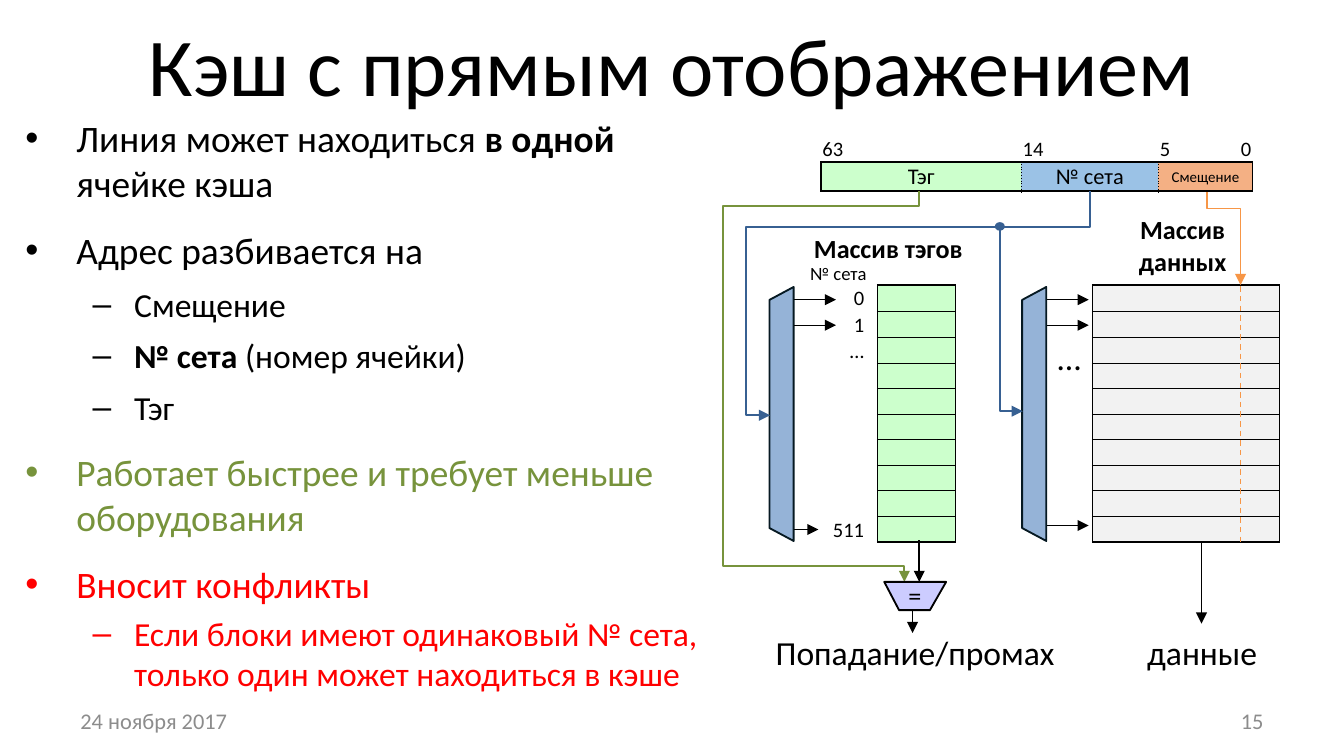
from dataclasses import dataclass

from lxml import etree
from pptx import Presentation
from pptx import util as u
from pptx.dml.color import RGBColor
from pptx.enum import dml, shapes, text
from pptx.oxml.ns import qn

PX = 9144
LEFT, CENTER, RIGHT = text.PP_ALIGN.LEFT, text.PP_ALIGN.CENTER, text.PP_ALIGN.RIGHT


@dataclass(frozen=True)
class Theme:
    font: str = "Calibri"
    black: str = "000000"
    white: str = "FFFFFF"
    gray: str = "8C8C8C"
    good: str = "77933C"
    bad: str = "FF0000"
    tag: str = "CCFFCC"
    index: str = "9BC2E6"
    offset: str = "F4B084"
    data: str = "F2F2F2"
    decoder: str = "95B3D7"
    decoder_edge: str = "061922"
    comparator: str = "CCCCFF"
    index_wire: str = "376092"
    offset_wire: str = "F79646"
    title: int = 44
    body: int = 20
    large: int = 18
    heading: int = 14
    normal: int = 12
    small: int = 11
    caption: int = 10
    tiny: int = 8
    thin: float = 0.75
    thick: float = 1


THEME = Theme()


@dataclass(frozen=True)
class Bullet:
    runs: tuple[tuple[str, bool], ...]
    level: int = 0
    color: str = THEME.black
    before: float = 12


@dataclass(frozen=True)
class Label:
    words: str
    box: tuple[int, int, int, int]
    size: int
    align: text.PP_ALIGN = CENTER
    bold: bool = False
    wrap: bool = False
    color: str = THEME.black


@dataclass(frozen=True)
class Field:
    name: str
    columns: tuple[int, int]
    color: str
    size: int


BULLETS = (
    Bullet((("Линия может находиться ", False), ("в одной ", True), ("ячейке кэша", False)), before=0),
    Bullet((("Адрес разбивается на", False),)),
    Bullet((("Смещение", False),), 1, before=6),
    Bullet((("№ сета ", True), ("(номер ячейки)", False)), 1, before=6),
    Bullet((("Тэг", False),), 1, before=6),
    Bullet((("Работает быстрее и требует меньше оборудования", False),), color=THEME.good),
    Bullet((("Вносит конфликты", False),), color=THEME.bad),
    Bullet((("Если блоки имеют одинаковый № сета, только один может находиться в кэше", False),),
           1, THEME.bad, 3.6),
)
LABELS = (
    Label("данные", (843, 465, 103, 40), THEME.large),
    Label("Массив тэгов", (569, 168, 184, 34), THEME.heading, bold=True, wrap=True),
    Label("Массив\nданных", (837, 154, 86, 57), THEME.heading, bold=True),
    Label("…", (777, 246, 38, 40), THEME.large, LEFT),
    Label("Попадание/промах", (566, 465, 230, 40), THEME.large),
    Label("=", (666, 426, 88, 34), THEME.heading, LEFT, wrap=True),
    Label("№ сета", (593, 190, 63, 27), THEME.caption, LEFT),
    Label("24 ноября 2017", (50, 521, 233, 30), THEME.normal, LEFT, wrap=True, color=THEME.gray),
    Label("15", (717, 521, 233, 30), THEME.normal, RIGHT, wrap=True, color=THEME.gray),
)
FIELDS = (
    Field("Тэг", (0, 0), THEME.tag, THEME.normal),
    Field("№ сета", (1, 2), THEME.index, THEME.normal),
    Field("Смещение", (3, 4), THEME.offset, THEME.tiny),
)
BIT_NUMBERS = {0: "63", 1: "14", 3: "5", 4: "0"}
SET_NUMBERS = {0: "0", 1: "1", 2: "…", 9: "511"}


def emu(*lengths: int) -> list[int]:
    return [u.Emu(length * PX) for length in lengths]


def add_run(paragraph, words: str, size: int, color: str = THEME.black, bold: bool = False) -> None:
    run = paragraph.add_run()
    run.text = words
    run.font.name, run.font.size, run.font.bold = THEME.font, u.Pt(size), bold
    run.font.color.rgb = RGBColor.from_string(color)


def add_label(slide, label: Label) -> None:
    frame = slide.shapes.add_textbox(*emu(*label.box)).text_frame
    frame.word_wrap = label.wrap
    frame.auto_size = text.MSO_AUTO_SIZE.SHAPE_TO_FIT_TEXT
    paragraph = frame.paragraphs[0]
    paragraph.alignment = label.align
    for number, line in enumerate(label.words.split("\n")):
        if number:
            paragraph.add_line_break()
        add_run(paragraph, line, label.size, label.color, label.bold)


def add_bullets(slide, bullets: tuple[Bullet, ...]) -> None:
    frame = slide.shapes.add_textbox(*emu(9, 81, 529, 412)).text_frame
    frame.word_wrap = True
    for number, bullet in enumerate(bullets):
        paragraph = frame.add_paragraph() if number else frame.paragraphs[0]
        paragraph.level = bullet.level
        margin, hanging, mark = ((38, 38, "•"), (81, 31, "–"))[bullet.level]
        properties = paragraph._p.get_or_add_pPr()
        properties.set("marL", str(margin * PX))
        properties.set("indent", str(-hanging * PX))
        etree.SubElement(properties, qn("a:buFont"), typeface="Arial")
        etree.SubElement(properties, qn("a:buChar"), char=mark)
        paragraph.space_before = u.Pt(bullet.before)
        for words, bold in bullet.runs:
            add_run(paragraph, words, (THEME.body, THEME.large)[bullet.level], bullet.color, bold)


def style_line(shape, color: str, width: float, arrow: bool = False, dashed: bool = False) -> None:
    shape.line.color.rgb = RGBColor.from_string(color)
    shape.line.width = u.Pt(width)
    if dashed:
        shape.line.dash_style = dml.MSO_LINE.DASH
    properties = shape._element.spPr
    if arrow:
        etree.SubElement(properties.find(qn("a:ln")), qn("a:tailEnd"), type="triangle")
    if properties.find(qn("a:effectLst")) is None:
        etree.SubElement(properties, qn("a:effectLst"))


def add_line(slide, ends: tuple[int, int, int, int], color: str = THEME.black,
             width: float = THEME.thin, arrow: bool = True, dashed: bool = False) -> None:
    connector = slide.shapes.add_connector(shapes.MSO_CONNECTOR.STRAIGHT, *emu(*ends))
    style_line(connector, color, width, arrow, dashed)


def add_offset_wire(slide) -> None:
    connector = slide.shapes.add_connector(shapes.MSO_CONNECTOR.ELBOW, *emu(945, 165, 876, 190))
    properties = connector._element.spPr
    properties.find(qn("a:xfrm")).set("rot", str(270 * 60000))
    adjustments = properties.find(qn("a:prstGeom")).find(qn("a:avLst"))
    etree.SubElement(adjustments, qn("a:gd"), name="adj1", fmla="val 17300")
    style_line(connector, THEME.offset_wire, THEME.thin, arrow=True)


def add_path(slide, points: list[tuple[int, int]], color: str, fill: str | None = None) -> None:
    builder = slide.shapes.build_freeform(*points[0], scale=PX)
    builder.add_line_segments(points[1:], close=fill is not None)
    shape = builder.convert_to_shape()
    style_shape(shape, fill, color, arrow=fill is None)


def style_shape(shape, fill: str | None, color: str, arrow: bool = False) -> None:
    shape.shadow.inherit = False
    if fill:
        shape.fill.solid()
        shape.fill.fore_color.rgb = RGBColor.from_string(fill)
    else:
        shape.fill.background()
    style_line(shape, color, THEME.thick, arrow)


def add_decoder(slide, left: int, last_row: int, last_end: int) -> None:
    shape = slide.shapes.add_shape(shapes.MSO_SHAPE.TRAPEZOID, *emu(left - 86, 299, 189, 18))
    shape.rotation = 270
    shape.adjustments[0] = 0.535
    style_shape(shape, THEME.decoder, THEME.decoder_edge)
    start = left + 18
    for y, end in ((223, start + 31), (242, start + 31), (last_row, last_end)):
        add_line(slide, (start, y, end, y))


def add_table(slide, left: int, top: int, columns: list[int], rows: list[int]):
    frame = slide.shapes.add_table(len(rows), len(columns), *emu(left, top, sum(columns), sum(rows)))
    table = frame.table
    table.first_row = table.horz_banding = False
    table._tbl.tblPr[0].text = "{2D5ABB26-0587-4C30-8999-92F81FD0307C}"
    for items, lengths, name in ((table.columns, columns, "width"), (table.rows, rows, "height")):
        for item, length in zip(items, emu(*lengths)):
            setattr(item, name, length)
    return table


def fill_cell(cell, color: str, words: str = "", size: int = THEME.small, align=LEFT,
              right: int = 1, borders: dict[str, tuple[float, str]] | None = None) -> None:
    cell.margin_left, cell.margin_right, cell.margin_top, cell.margin_bottom = emu(1, right, 1, 0)
    cell.vertical_anchor = text.MSO_ANCHOR.MIDDLE
    properties = cell._tc.get_or_add_tcPr()
    for side in "LRTB":
        if borders and side in borders:
            width, dash = borders[side]
            line = etree.SubElement(properties, qn(f"a:ln{side}"), w=str(u.Pt(width)))
            solid = etree.SubElement(line, qn("a:solidFill"))
            etree.SubElement(solid, qn("a:srgbClr"), val=THEME.black)
            etree.SubElement(line, qn("a:prstDash"), val=dash)
    cell.fill.solid()
    cell.fill.fore_color.rgb = RGBColor.from_string(color)
    paragraph = cell.text_frame.paragraphs[0]
    paragraph.alignment = align
    if words:
        add_run(paragraph, words, size)
    else:
        etree.SubElement(paragraph._p, qn("a:endParaRPr"), sz=str(THEME.tiny * 100))


def add_cache_table(slide) -> None:
    rows = 10
    table = add_table(slide, 586, 212, [67, 58, 102, 139], [19] * rows)
    edge, inner = (1, "solid"), (0.5, "solid")
    for row in range(rows):
        borders = {"L": edge, "R": edge, "T": inner if row else edge,
                   "B": inner if row < rows - 1 else edge}
        fill_cell(table.cell(row, 0), THEME.white, SET_NUMBERS.get(row, ""), align=RIGHT,
                  right=10, borders={"R": edge})
        fill_cell(table.cell(row, 1), THEME.tag, borders=borders)
        fill_cell(table.cell(row, 2), THEME.white, borders={"L": edge, "R": edge})
        fill_cell(table.cell(row, 3), THEME.data, borders=borders)


def add_address_table(slide) -> None:
    table = add_table(slide, 611, 101, [149, 51, 51, 35, 35], [19, 22])
    edge, divider = (1, "solid"), (0.5, "sysDot")
    for column in range(5):
        fill_cell(table.cell(0, column), THEME.white, BIT_NUMBERS.get(column, ""),
                  align=RIGHT if column == 4 else LEFT, borders={"B": edge})
    for field in FIELDS:
        first, last = field.columns
        if last > first:
            table.cell(1, first).merge(table.cell(1, last))
        for column in range(first, last + 1):
            borders = {"T": edge, "B": edge, "R": divider if last < 4 else edge}
            if column == first:
                borders["L"] = divider if first else edge
            fill_cell(table.cell(1, column), field.color, field.name if column == first else "",
                      field.size, CENTER, borders=borders)


def main() -> None:
    presentation = Presentation()
    presentation.slide_width = u.Emu(1000 * PX)
    presentation.slide_height = u.Emu(presentation.slide_width * 9 // 16)
    slide = presentation.slides.add_slide(presentation.slide_layouts[5])
    title = slide.shapes.title
    title.left, title.top, title.width, title.height = emu(50, 0, 900, 94)
    frame = title.text_frame
    frame.word_wrap, frame.auto_size = True, text.MSO_AUTO_SIZE.NONE
    frame.vertical_anchor = text.MSO_ANCHOR.MIDDLE
    frame.paragraphs[0].alignment = CENTER
    add_run(frame.paragraphs[0], "Кэш с прямым отображением", THEME.title)
    add_bullets(slide, BULLETS)
    add_line(slide, (894, 395, 894, 464), width=THEME.thick)
    add_cache_table(slide)
    add_address_table(slide)
    add_offset_wire(slide)
    add_line(slide, (923, 213, 923, 403), THEME.offset_wire, arrow=False, dashed=True)
    add_decoder(slide, 573, 394, 609)
    add_decoder(slide, 761, 391, 810)
    add_path(slide, [(684, 142), (684, 153), (538, 153), (538, 421), (673, 421), (673, 433)], THEME.good)
    add_path(slide, [(811, 142), (811, 169), (555, 169), (555, 309), (573, 309)], THEME.index_wire)
    add_path(slide, [(744, 169), (744, 306), (761, 306)], THEME.index_wire)
    junction = slide.shapes.add_shape(shapes.MSO_SHAPE.OVAL, *emu(741, 166, 6, 5))
    style_shape(junction, THEME.index_wire, THEME.index_wire)
    add_line(slide, (679, 445, 679, 471))
    add_path(slide, [(704, 433), (692, 454), (669, 454), (658, 433)], THEME.black, THEME.comparator)
    add_line(slide, (684, 402, 684, 433), width=THEME.thick)
    for label in LABELS:
        add_label(slide, label)
    presentation.save("out.pptx")


if __name__ == "__main__":
    main()
